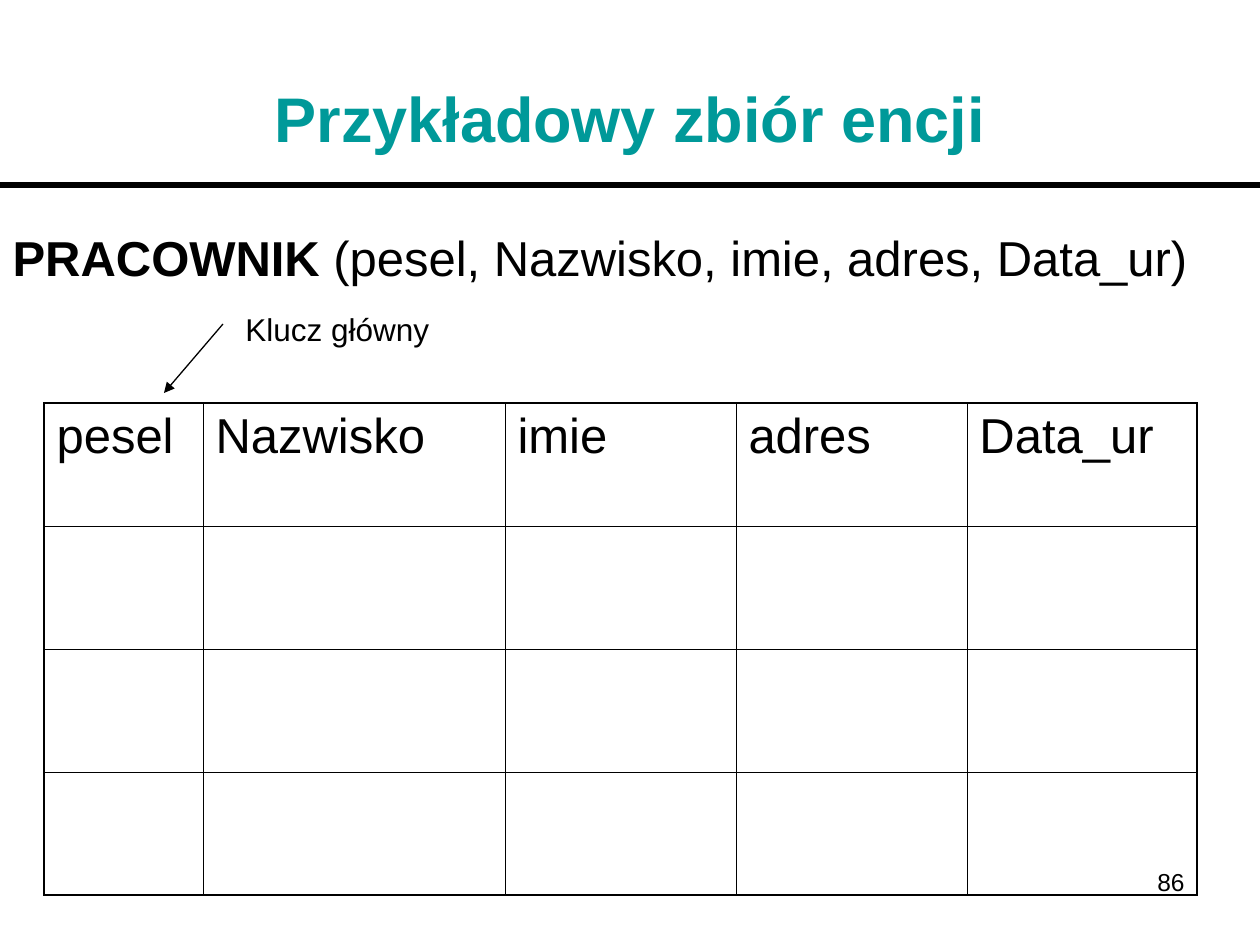
import pptx
import pptx.dml.color
import pptx.enum.shapes
import pptx.enum.text
import pptx.oxml.ns
import pptx.util
from lxml import etree

PX_PER_INCH = 126
FONT = "Arial"
BLACK = pptx.dml.color.RGBColor(0, 0, 0)
TEAL = pptx.dml.color.RGBColor(0, 0x99, 0x99)
ALIGN = pptx.enum.text.PP_ALIGN
ANCHOR = pptx.enum.text.MSO_ANCHOR

COLUMNS = [("pesel", 159), ("Nazwisko", 302), ("imie", 231),
           ("adres", 231), ("Data_ur", 230)]
ROW_COUNT = 4
ROW_HEIGHT = 123
THIN, THICK = 0.45, 1.08


def px(n):
    return pptx.util.Emu(round(n * 914400 / PX_PER_INCH))


def sub(parent, tag, **attrs):
    return etree.SubElement(parent, pptx.oxml.ns.qn(tag), attrs)


def place(sp, x, y, w, h):
    sp.left, sp.top, sp.width, sp.height = px(x), px(y), px(w), px(h)


def add_run(p, text, size, bold=False, color=BLACK):
    r = p.add_run()
    r.text = text
    r.font.name = FONT
    r.font.size = pptx.util.Pt(size)
    r.font.bold = bold
    r.font.color.rgb = color


def prepare_frame(tf, anchor=ANCHOR.TOP):
    """Fix the frame's size and wrapping; return its first paragraph."""
    tf.word_wrap = True
    tf.auto_size = pptx.enum.text.MSO_AUTO_SIZE.NONE
    tf.vertical_anchor = anchor
    return tf.paragraphs[0]


def fill_title(s):
    sp = s.shapes.title
    place(sp, 63, 38, 1134, 158)
    p = prepare_frame(sp.text_frame, ANCHOR.MIDDLE)
    p.alignment = ALIGN.CENTER
    add_run(p, "Przykładowy zbiór encji", 36, True, TEAL)


def fill_body(s):
    sp = s.placeholders[1]
    place(sp, 0, 221, 1260, 624)
    p = prepare_frame(sp.text_frame)
    pPr = p._p.get_or_add_pPr()
    pPr.set("marL", str(px(48)))
    pPr.set("indent", str(-px(48)))
    sub(pPr, "a:buNone")
    p.space_before = pptx.util.Pt(0)
    add_run(p, "PRACOWNIK ", 28, True)
    add_run(p, "(pesel, Nazwisko, imie, adres, Data_ur)", 28)


def add_label(s, text, size, x, y, w, h, align=ALIGN.LEFT):
    sp = s.shapes.add_textbox(px(x), px(y), px(w), px(h))
    p = prepare_frame(sp.text_frame)
    p.alignment = align
    add_run(p, text, size)


def add_line(s, x1, y1, x2, y2, width, arrow=False):
    cn = s.shapes.add_connector(pptx.enum.shapes.MSO_CONNECTOR.STRAIGHT,
                                px(x1), px(y1), px(x2), px(y2))
    cn.line.color.rgb = BLACK
    cn.line.width = pptx.util.Pt(width)
    if arrow:
        sub(cn.line._get_or_add_ln(), "a:tailEnd", type="triangle")
    sub(cn._element.spPr, "a:effectLst")


def set_borders(cell, widths):
    """Draw the left, right, top and bottom borders, widths in points."""
    tcPr = cell._tc.get_or_add_tcPr()
    for side, width in zip("LRTB", widths):
        ln = sub(tcPr, "a:ln" + side, w=str(pptx.util.Pt(width)))
        sub(sub(ln, "a:solidFill"), "a:srgbClr", val=str(BLACK))


def add_entity_table(s):
    last_row, last_col = ROW_COUNT - 1, len(COLUMNS) - 1
    total = sum(width for _, width in COLUMNS)
    table = s.shapes.add_table(ROW_COUNT, len(COLUMNS), px(44), px(403),
                               px(total), px(ROW_COUNT * ROW_HEIGHT)).table
    table.first_row = table.horz_banding = False
    for row in table.rows:
        row.height = px(ROW_HEIGHT)
    for j, (name, width) in enumerate(COLUMNS):
        table.columns[j].width = px(width)
        add_run(table.cell(0, j).text_frame.paragraphs[0], name, 28)
        for i in range(ROW_COUNT):
            cell = table.cell(i, j)
            outer = (j == 0, j == last_col, i == 0, i == last_row)
            set_borders(cell, [THICK if edge else THIN for edge in outer])
            cell.fill.background()


def main():
    prs = pptx.Presentation()
    prs.slide_width, prs.slide_height = px(1260), px(945)
    s = prs.slides.add_slide(prs.slide_layouts[1])
    fill_title(s)
    fill_body(s)
    add_entity_table(s)
    add_label(s, "Klucz główny", 18, 233, 304, 228, 50)
    add_line(s, 223, 324, 164, 393, 0.75, arrow=True)
    add_line(s, 0, 185, 1260, 185, 3)
    add_label(s, "86", 14, 903, 861, 294, 66, ALIGN.RIGHT)
    prs.save("out.pptx")


if __name__ == "__main__":
    main()
